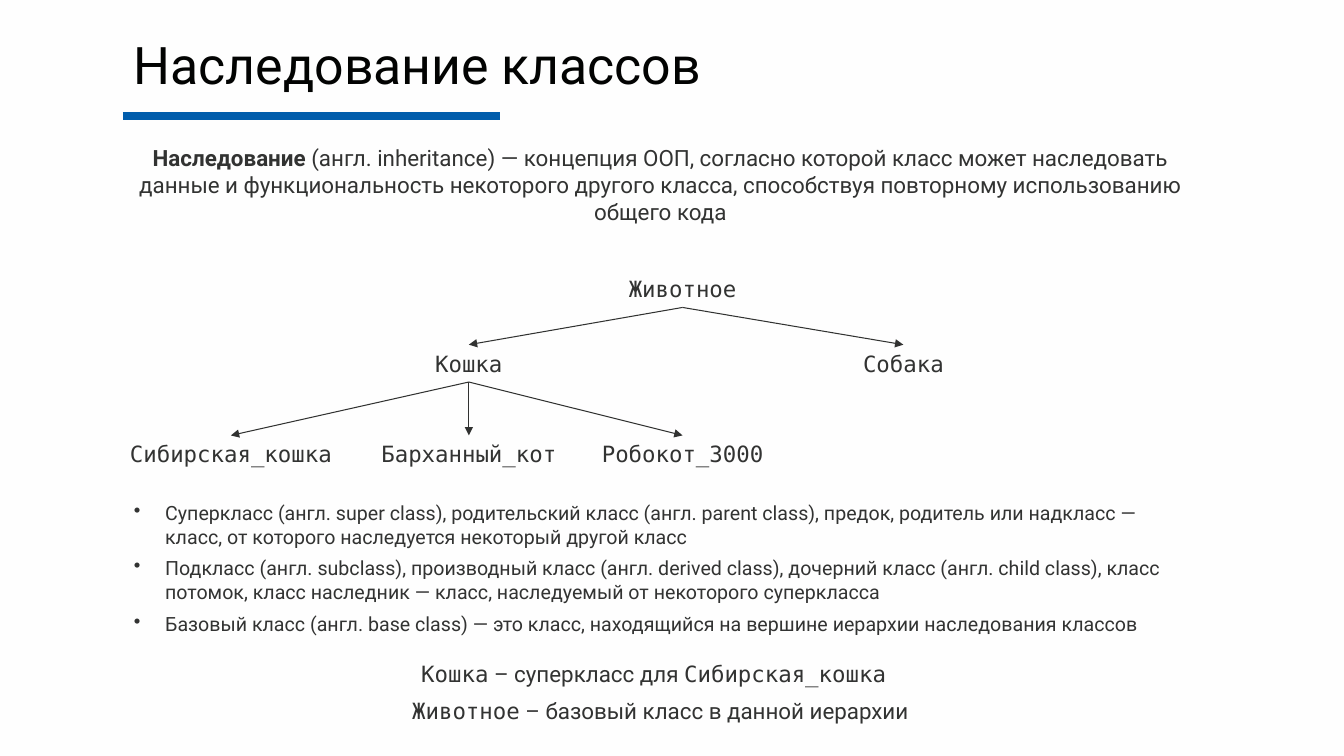
from lxml.etree import SubElement as Sub
from pptx import Presentation
from pptx.dml.color import RGBColor as Color
from pptx.enum.shapes import MSO_CONNECTOR as Conn
from pptx.enum.text import MSO_ANCHOR as Anchor, MSO_AUTO_SIZE as Auto, PP_ALIGN as Align
from pptx.oxml.ns import qn
from pptx.util import Inches, Pt

HUES = {"back": "FEFEFE", "bar": "015DAC", "title": "020302",
        "text": "323332", "line": "313231"}
SANS, MONO = "Roboto", "DejaVu Sans Mono"
LEFT, WIDE, ROW = 1.23, 10.64, 0.37


class Page:
    """Draws styled elements on one slide."""

    def __init__(self, deck):
        self.slide = deck.slides.add_slide(deck.slide_layouts[6])
        fill = self.slide.background.fill
        fill.solid()
        fill.fore_color.rgb = self.hue("back")

    def hue(self, name):
        return Color.from_string(HUES[name])

    def frame(self, x, y, w, h, pad=0.05):
        frame = self.slide.shapes.add_textbox(
            Inches(x), Inches(y), Inches(w), Inches(h)).text_frame
        frame.word_wrap = True
        frame.auto_size = Auto.SHAPE_TO_FIT_TEXT
        frame.margin_left = frame.margin_right = Inches(pad)
        frame.margin_top = frame.margin_bottom = Inches(0.05)
        return frame

    def style(self, para, size, face=SANS, hue="text"):
        font = para.font
        font.size, font.name = Pt(size), face
        font.color.rgb = self.hue(hue)

    def title(self, text):
        frame = self.frame(LEFT, 0.39, WIDE, 0.6, 0.1)
        frame.auto_size = Auto.NONE
        frame.vertical_anchor = Anchor.MIDDLE
        para = frame.paragraphs[0]
        para.text = text
        para.line_spacing = 0.8
        self.style(para, 37, hue="title")

    def note(self, y, h, *runs):
        para = self.frame(LEFT, y, WIDE, h).paragraphs[0]
        para.alignment = Align.CENTER
        self.style(para, 16)
        for text, face, bold in runs:
            run = para.add_run()
            run.text = text
            run.font.name, run.font.bold = face, bold

    def node(self, text, mid, y, w):
        para = self.frame(mid - w / 2, y, w, ROW).paragraphs[0]
        para.text = text
        para.alignment = Align.CENTER
        self.style(para, 16, MONO)

    def line(self, x1, y1, x2, y2, hue="line", width=0.75, arrow=True):
        line = self.slide.shapes.add_connector(
            Conn.STRAIGHT, Inches(x1), Inches(y1), Inches(x2), Inches(y2))
        line.line.color.rgb = self.hue(hue)
        line.line.width = Pt(width)
        if arrow:
            Sub(line.line._get_or_add_ln(), qn("a:tailEnd"), type="triangle")
        Sub(line._element.spPr, qn("a:effectLst"))

    def bullets(self, y, h, items):
        frame = self.frame(LEFT, y, WIDE, h, 0.1)
        for i, text in enumerate(items):
            para = frame.add_paragraph() if i else frame.paragraphs[0]
            para.text = text
            para.space_after = Pt(6)
            self.style(para, 14)
            props = para._p.get_or_add_pPr()
            props.set("marL", str(Inches(0.31)))
            props.set("indent", str(-Inches(0.31)))
            mark = props.makeelement(qn("a:buChar"), {"char": "•"})
            props.find(qn("a:defRPr")).addprevious(mark)


NODES = {
    "Животное": (6.77, 2.68, 1.88),
    "Кошка": (4.65, 3.42, 1.88),
    "Собака": (8.96, 3.42, 1.88),
    "Сибирская_кошка": (2.29, 4.32, 2.12),
    "Барханный_кот": (4.65, 4.32, 2.12),
    "Робокот_3000": (6.77, 4.32, 2.12),
}
TREE = {
    "Животное": ["Кошка", "Собака"],
    "Кошка": ["Робокот_3000", "Барханный_кот", "Сибирская_кошка"],
}
TERMS = [
    "Суперкласс (англ. super class), родительский класс (англ. parent class), "
    "предок, родитель или надкласс — класс, от которого наследуется некоторый другой класс",
    "Подкласс (англ. subclass), производный класс (англ. derived class), "
    "дочерний класс (англ. child class), класс потомок, класс наследник — "
    "класс, наследуемый от некоторого суперкласса",
    "Базовый класс (англ. base class) — это класс, находящийся на вершине "
    "иерархии наследования классов",
]


def main():
    deck = Presentation()
    deck.slide_width, deck.slide_height = Inches(13.33), Inches(7.5)
    page = Page(deck)
    page.line(1.22, 1.15, 4.96, 1.15, "bar", 6, False)
    page.title("Наследование классов")
    page.note(1.38, 0.91, ("Наследование", SANS, True),
              (" (англ. inheritance) — концепция ООП, согласно которой класс может "
               "наследовать данные и функциональность некоторого другого класса, "
               "способствуя повторному использованию общего кода", SANS, False))
    for name, place in NODES.items():
        page.node(name, *place)
    for base, kids in TREE.items():
        x, y, _ = NODES[base]
        for kid in kids:
            page.line(x, y + ROW, *NODES[kid][:2])
    page.bullets(4.92, 1.45, TERMS)
    page.note(6.5, ROW, ("Кошка", MONO, False), (" – суперкласс для ", SANS, False),
              ("Сибирская_кошка ", MONO, False))
    page.note(6.87, ROW, ("Животное", MONO, False),
              (" – базовый класс в данной иерархии", SANS, False))
    deck.save("out.pptx")


if __name__ == "__main__":
    main()
